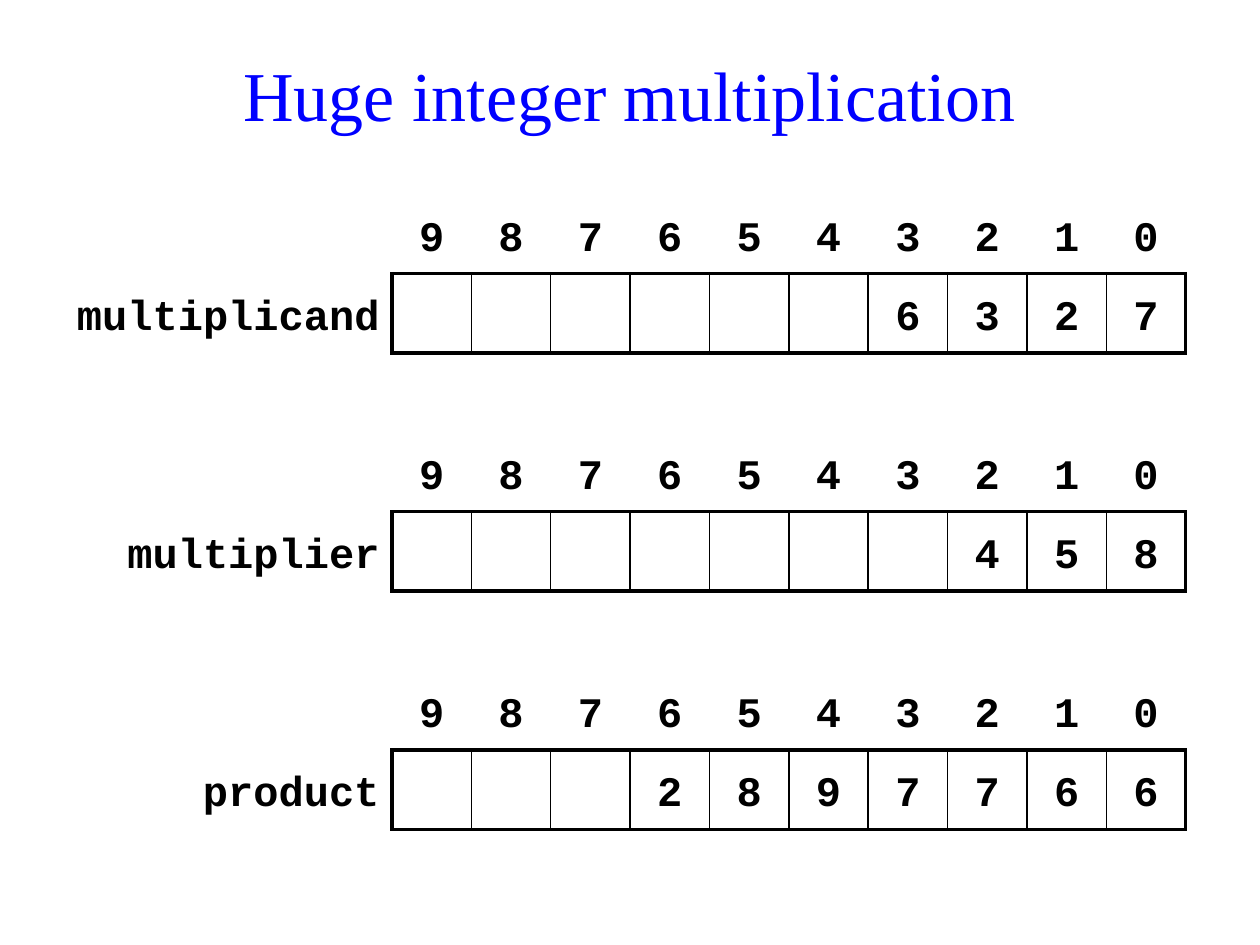
from lxml.etree import SubElement
from pptx import Presentation
from pptx.dml.color import RGBColor
from pptx.enum.text import MSO_ANCHOR, PP_ALIGN
from pptx.oxml.ns import qn
from pptx.util import Pt

DIGITS = 10
CELL = 45.36
GRID_LEFT = 224
FIRST_TOP = 111
PITCH = 3 * CELL
THICK, THIN = 2.25, 1
NUMBERS = [
    ("multiplicand", "6327", 193),
    ("multiplier", "458", 158.4),
    ("product", "2897766", 124.6),
]


def color(hex_value):
    return RGBColor.from_string(hex_value)


class DigitSlide:
    title_font = "Times New Roman"
    digit_font = "Courier New"
    title_color = "0000FF"
    ink = "000000"

    def __init__(self, presentation):
        self.slide = presentation.slides.add_slide(presentation.slide_layouts[5])

    def format_text(self, paragraph, font_name, size, ink, align, bold):
        paragraph.alignment = align
        font = paragraph.font
        font.name, font.size, font.bold = font_name, Pt(size), bold
        font.color.rgb = color(ink)

    def title(self, text, left, top, width, height):
        heading = self.slide.shapes.title
        heading.left, heading.top = Pt(left), Pt(top)
        heading.width, heading.height = Pt(width), Pt(height)
        frame = heading.text_frame
        frame.text = text
        frame.vertical_anchor = MSO_ANCHOR.MIDDLE
        self.format_text(frame.paragraphs[0], self.title_font, 40,
                         self.title_color, PP_ALIGN.CENTER, False)

    def borders(self, cell, **widths):
        properties = cell._tc.get_or_add_tcPr()
        for side in "LRTB":
            width = widths.get(side, 0)
            line = SubElement(properties, qn(f"a:ln{side}"), w=str(Pt(width)))
            if width:
                fill = SubElement(line, qn("a:solidFill"))
                SubElement(fill, qn("a:srgbClr"), val=self.ink)
            else:
                SubElement(line, qn("a:noFill"))

    def cell(self, cell, text, align, **widths):
        self.borders(cell, **widths)
        cell.fill.background()
        cell.vertical_anchor = MSO_ANCHOR.MIDDLE
        cell.text = text
        paragraph = cell.text_frame.paragraphs[0]
        paragraph.line_spacing = 1.25
        self.format_text(paragraph, self.digit_font, 24, self.ink, align, True)

    def number(self, label, digits, label_width, top):
        table = self.slide.shapes.add_table(
            2, DIGITS + 1, Pt(GRID_LEFT - label_width), Pt(top),
            Pt(label_width + DIGITS * CELL), Pt(2 * CELL)).table
        table.first_row = table.horz_banding = False
        table.columns[0].width = Pt(label_width)
        for row in table.rows:
            row.height = Pt(CELL)
        self.cell(table.cell(0, 0), "", PP_ALIGN.RIGHT)
        self.cell(table.cell(1, 0), label, PP_ALIGN.RIGHT, R=THICK)
        for column, digit in enumerate(digits.rjust(DIGITS), start=1):
            table.columns[column].width = Pt(CELL)
            self.cell(table.cell(0, column), str(DIGITS - column),
                      PP_ALIGN.CENTER, B=THICK)
            self.cell(table.cell(1, column), digit.strip(), PP_ALIGN.CENTER,
                      L=THICK if column == 1 else THIN,
                      R=THICK if column == DIGITS else THIN,
                      T=THICK, B=THICK)


def main():
    presentation = Presentation()
    presentation.slide_width, presentation.slide_height = Pt(720), Pt(540)
    multiplication = DigitSlide(presentation)
    multiplication.title("Huge integer multiplication", 42.5, 20.2, 635, 67)
    for index, (label, digits, label_width) in enumerate(NUMBERS):
        multiplication.number(label, digits, label_width,
                              FIRST_TOP + index * PITCH)
    presentation.save("out.pptx")


if __name__ == "__main__":
    main()
